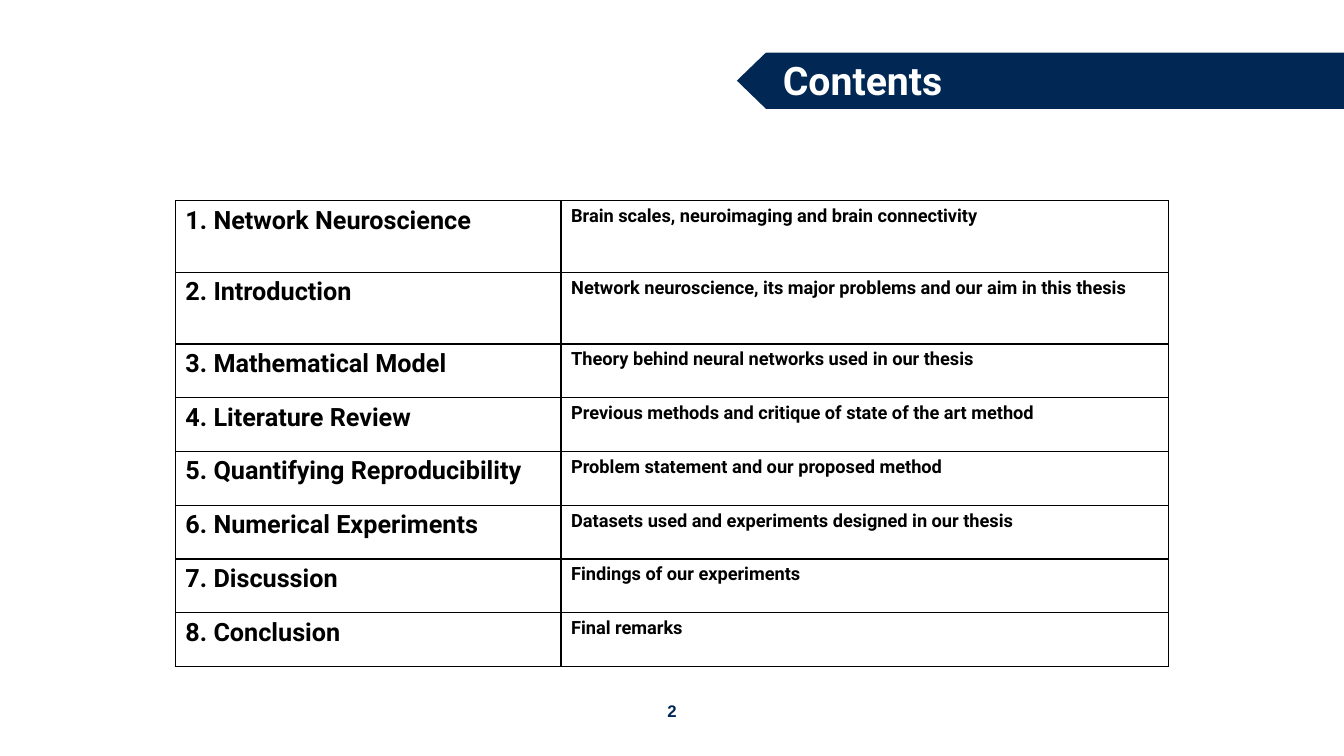
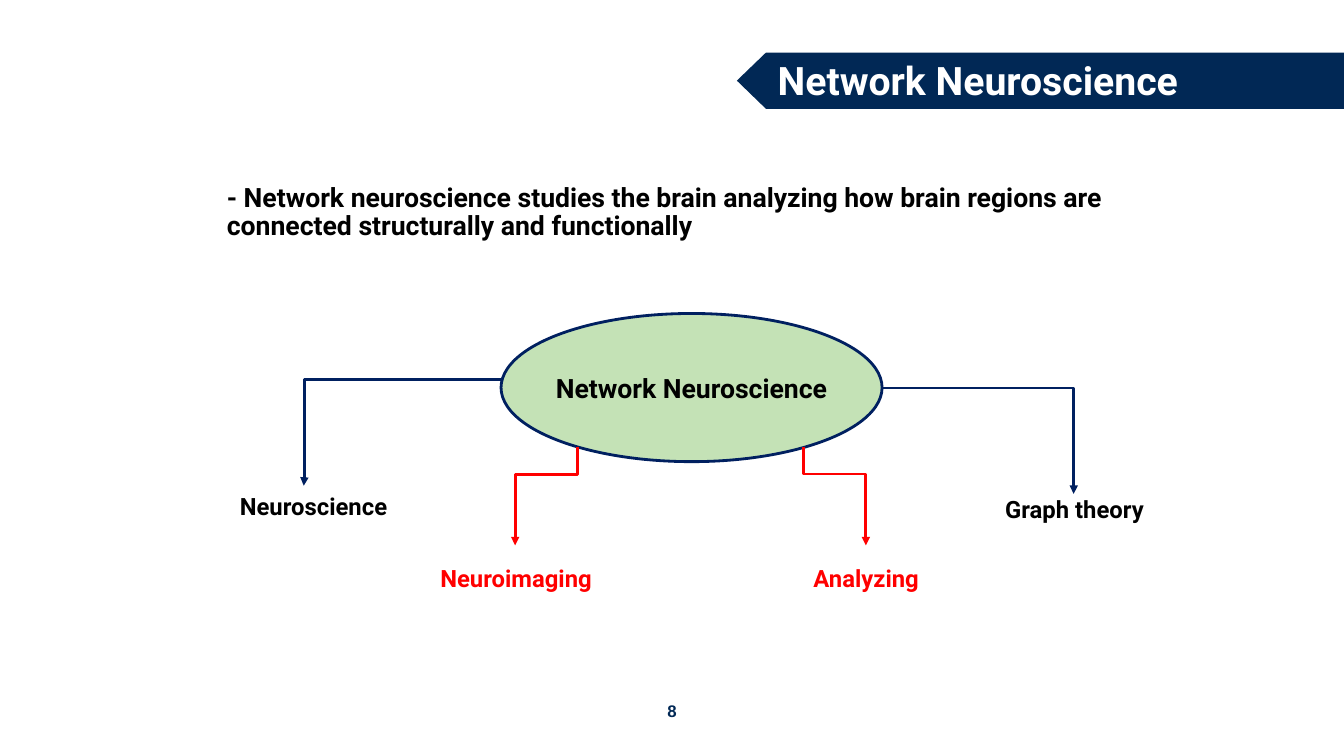
from lxml.etree import SubElement
from pptx import Presentation
from pptx.dml.color import RGBColor
from pptx.enum.shapes import MSO_CONNECTOR, MSO_SHAPE
from pptx.enum.text import MSO_ANCHOR as Anchor, MSO_AUTO_SIZE as AutoSize, PP_ALIGN as Align
from pptx.oxml.ns import qn
from pptx.util import Inches, Pt

# Shared look
NAVY, INK, DEEP, RED, GREEN = "012855", "000000", "002060", "FF0000", "C4E2B6"
WHITE = "FFFFFF"
rgb = RGBColor.from_string

deck = Presentation()
deck.slide_width, deck.slide_height = Inches(13.33), Inches(7.5)


def area(x, y, *size):
    """Turn percent shares of the slide's width and height into lengths."""
    sides = (deck.slide_width, deck.slide_height) * 2
    return [int(side * share / 100) for side, share in zip(sides, (x, y, *size))]


def write(box, text, size, color=INK, align=Align.LEFT, name="Roboto", **layout):
    """Put one bold paragraph into a shape, placeholder or table cell."""
    frame = box.text_frame
    for key, value in layout.items():
        setattr(frame, key, value)
    para = frame.paragraphs[0]
    para.alignment = align
    span = para.add_run()
    span.text = text
    for key, value in {"size": Pt(size), "name": name, "bold": True}.items():
        setattr(span.font, key, value)
    span.font.color.rgb = rgb(color)
    return para


# Pages with title and number
pages = []
for layout, title, number, left, width, align in [
    (5, "Contents", "2", 57.5, 36, Align.LEFT),
    (1, "Network Neuroscience", "8", 54.75, 36, Align.CENTER),
]:
    page = deck.slides.add_slide(deck.slide_layouts[layout])
    heading = page.shapes.title
    heading.left, heading.top, heading.width, heading.height = area(left, 6.8, width, 7.6)
    write(heading, title, 28, WHITE, align, vertical_anchor=Anchor.MIDDLE,
          auto_size=AutoSize.NONE)
    footer = page.shapes.add_textbox(*area(39.4, 92, 21.2, 4))
    write(footer, number, 12, NAVY, Align.CENTER, "Arial", word_wrap=True)
    pages.append(page)
contents, network = pages

# Title band, moved to the master
outline = contents.shapes.build_freeform(*area(57, 6.95))
outline.add_line_segments([area(*point) for point in
                           [(100, 6.95), (100, 14.4), (57, 14.4), (54.83, 10.67)]])
band = outline.convert_to_shape()
band.shadow.inherit = False
band.fill.solid()
band.fill.fore_color.rgb = rgb(NAVY)
band.line.fill.background()
deck.slide_master.shapes.element.insert(2, band.element)

# Contents table
chapters = [
    ("1. Network Neuroscience", "Brain scales, neuroimaging and brain connectivity"),
    ("2. Introduction", "Network neuroscience, its major problems and our aim in this thesis"),
    ("3. Mathematical Model", "Theory behind neural networks used in our thesis"),
    ("4. Literature Review", "Previous methods and critique of state of the art method"),
    ("5. Quantifying Reproducibility", "Problem statement and our proposed method"),
    ("6. Numerical Experiments", "Datasets used and experiments designed in our thesis"),
    ("7. Discussion", "Findings of our experiments"),
    ("8. Conclusion", "Final remarks"),
]
row_shares = [4, 4] + [3] * 6
holder = contents.shapes.add_table(len(chapters), 2, *area(13.05, 26.55, 73.9, 61.6))
table = holder.table
table.first_row = table.horz_banding = False
table.columns[0].width, table.columns[1].width = area(28.7, 0)[0], area(45.2, 0)[0]
table_height = holder.height
for row, share, chapter in zip(table.rows, row_shares, chapters):
    row.height = int(table_height * share / sum(row_shares))
    for cell, text, size in zip(row.cells, chapter, (18, 13)):
        write(cell, text, size)
        borders = cell._tc.get_or_add_tcPr()
        for side in ("a:lnL", "a:lnR", "a:lnT", "a:lnB"):
            edge = SubElement(borders, qn(side), w=str(Pt(1)))
            SubElement(SubElement(edge, qn("a:solidFill")), qn("a:srgbClr"), val=INK)
        cell.fill.background()

# Opening statement
body = network.placeholders[1]
body.left, body.top, body.width, body.height = area(16.13, 23.7, 67.7, 10.7)
statement = write(body, "- Network neuroscience studies the brain analyzing how brain regions "
                  "are connected structurally and functionally", 19,
                  vertical_anchor=Anchor.TOP, auto_size=AutoSize.NONE)
statement.line_spacing, statement.space_before = 0.9, Pt(0)
bullet = statement._p.get_or_add_pPr()
bullet.set("marL", "0")
bullet.set("indent", "0")
SubElement(bullet, qn("a:buNone"))

# Central topic
topic = network.shapes.add_shape(MSO_SHAPE.OVAL, *area(37.28, 41.47, 28.35, 19.6))
topic.shadow.inherit = False
topic.fill.solid()
topic.fill.fore_color.rgb = rgb(GREEN)
topic.line.color.rgb, topic.line.width = rgb(DEEP), Pt(2)
write(topic, "Network Neuroscience", 19, INK, Align.CENTER,
      word_wrap=False, vertical_anchor=Anchor.MIDDLE)

# Branch labels, by centre
for text, x, y, color in [
    ("Neuroscience", 23.33, 66.9, INK),
    ("Neuroimaging", 38.4, 76.5, RED),
    ("Analyzing", 64.45, 76.5, RED),
    ("Graph theory", 79.95, 67.3, INK),
]:
    label = network.shapes.add_textbox(*area(x - 8, y - 3.15, 16, 6.3))
    write(label, text, 17, color, Align.CENTER, word_wrap=True,
          vertical_anchor=Anchor.MIDDLE)

# Branch arrows: ends before turning, degrees, bend position in percent
for ends, turn, bend, color in [
    ((22.6, 64.25, 37.25, 50.15), 180, 99.7, DEEP),
    ((36.98, 61.47, 44.33, 69.73), 90, 27.9, RED),
    ((65.78, 61.47, 58.43, 69.73), 270, 27.7, RED),
    ((65.7, 51.33, 79.88, 65.33), 0, 100.1, DEEP),
]:
    arrow = network.shapes.add_connector(MSO_CONNECTOR.ELBOW, *area(*ends))
    arrow.line.color.rgb, arrow.line.width = rgb(color), Pt(2)
    shape_format = arrow.element.spPr
    shape_format.find(qn("a:xfrm")).set("rot", str(turn * 60000))
    guides = shape_format.find(qn("a:prstGeom")).find(qn("a:avLst"))
    SubElement(guides, qn("a:gd"), name="adj1", fmla=f"val {round(bend * 1000)}")
    SubElement(shape_format.find(qn("a:ln")), qn("a:tailEnd"), type="triangle")
    SubElement(shape_format, qn("a:effectLst"))

deck.save("out.pptx")
